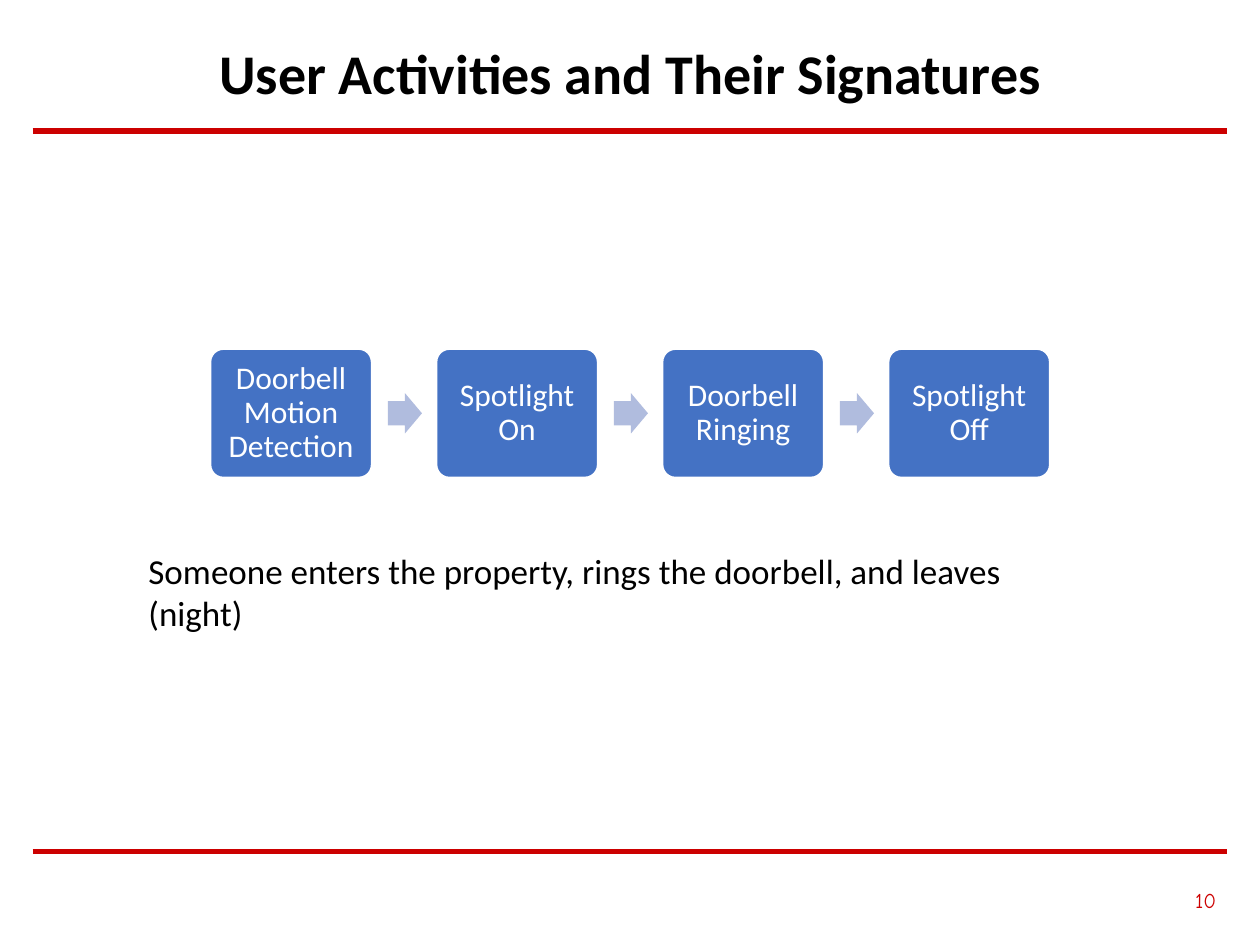
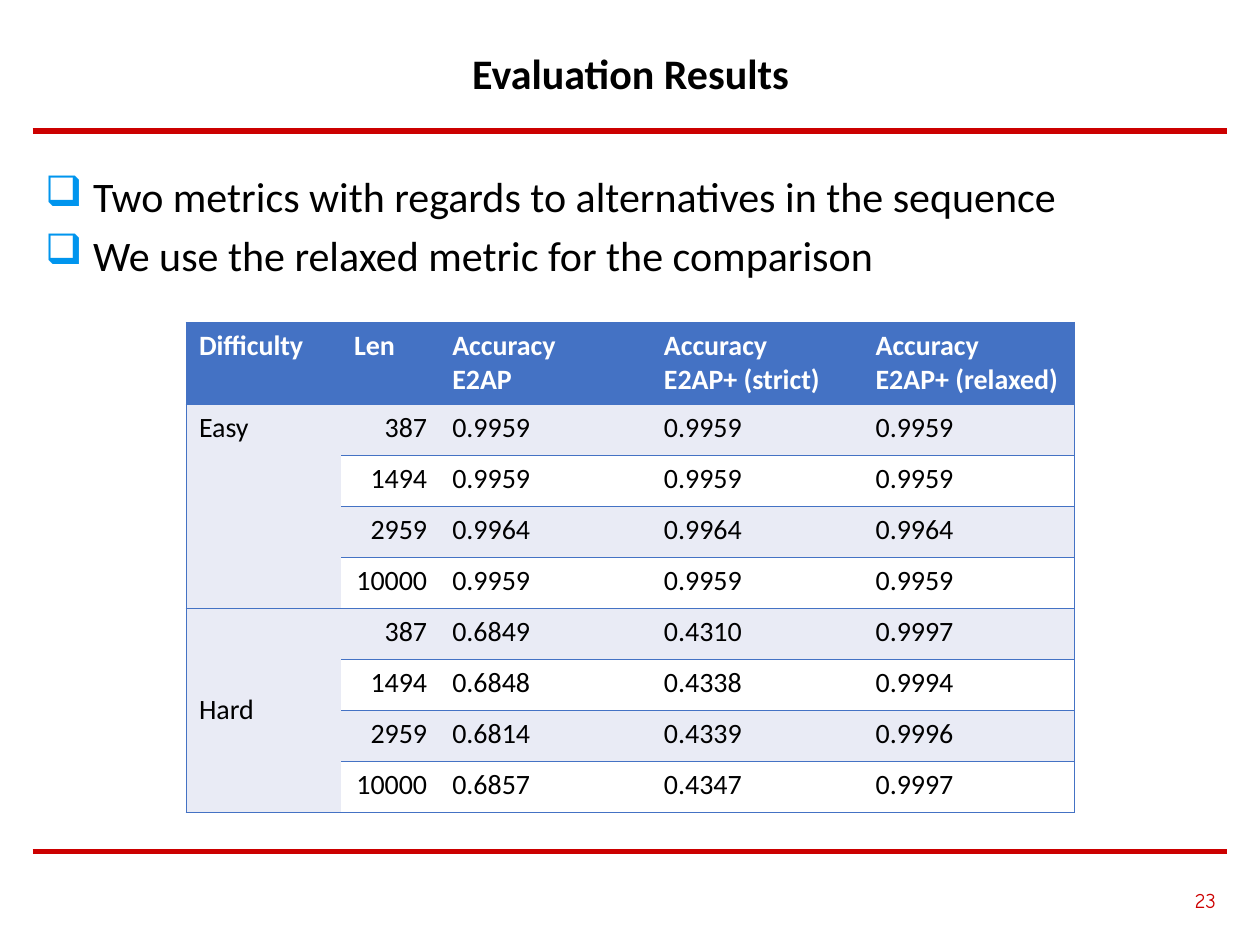
from lxml import etree
from pptx import Presentation
from pptx.dml.color import RGBColor
from pptx.enum.shapes import MSO_CONNECTOR, MSO_SHAPE
from pptx.enum.text import MSO_ANCHOR, PP_ALIGN
from pptx.oxml.ns import qn
from pptx.util import Inches, Pt

LEFT, MID, RIGHT = PP_ALIGN.LEFT, PP_ALIGN.CENTER, PP_ALIGN.RIGHT
TOP, CENTER = MSO_ANCHOR.TOP, MSO_ANCHOR.MIDDLE
LINE = MSO_CONNECTOR.STRAIGHT
ROUND, ARROW = MSO_SHAPE.ROUNDED_RECTANGLE, MSO_SHAPE.RIGHT_ARROW
COLORS = {
    "rule": "CC0000", "number": "CD0000", "blue": "4472C4", "arrow": "B0BCDE",
    "band": "E9EBF5", "white": "FFFFFF", "black": "000000", "bullet": "0095EE",
}
STEPS = ["Doorbell Motion Detection", "Spotlight On", "Doorbell Ringing", "Spotlight Off"]
POINTS = [
    "Two metrics with regards to alternatives in the sequence",
    "We use the relaxed metric for the comparison",
]
HEAD = ["Difficulty", "Len", "Accuracy\nE2AP", "Accuracy\nE2AP+ (strict)",
        "Accuracy\nE2AP+ (relaxed)"]
ROWS = [
    ["Easy", "387", "0.9959", "0.9959", "0.9959"],
    ["", "1494", "0.9959", "0.9959", "0.9959"],
    ["", "2959", "0.9964", "0.9964", "0.9964"],
    ["", "10000", "0.9959", "0.9959", "0.9959"],
    ["Hard", "387", "0.6849", "0.4310", "0.9997"],
    ["", "1494", "0.6848", "0.4338", "0.9994"],
    ["", "2959", "0.6814", "0.4339", "0.9996"],
    ["", "10000", "0.6857", "0.4347", "0.9997"],
]
GROUP = 4
WIDTHS = [1.23, 0.78, 1.68, 1.68, 1.68]


def color(name):
    """Return the named colour."""
    return RGBColor.from_string(COLORS[name])


def write(frame, *lines, size=16, font="Calibri", ink="black", bold=False,
          align=LEFT, anchor=TOP, spacing=1, before=0, bullet=None):
    """Fill a text frame with one formatted paragraph per line."""
    frame.word_wrap = True
    frame.vertical_anchor = anchor
    for i, line in enumerate(lines):
        par = frame.add_paragraph() if i else frame.paragraphs[0]
        par.text = line
        par.alignment = align
        par.line_spacing = spacing
        par.space_before = Pt(before)
        for run in par.runs:
            run.font.size = Pt(size)
            run.font.name = font
            run.font.bold = bold
            run.font.color.rgb = color(ink)
        if bullet:
            mark(par, bullet)


def mark(par, char):
    """Give a paragraph a coloured bullet with a hanging indent."""
    props = par._p.get_or_add_pPr()
    props.set("marL", str(Inches(0.38)))
    props.set("indent", str(-Inches(0.38)))
    tint = etree.SubElement(props, qn("a:buClr"))
    etree.SubElement(tint, qn("a:srgbClr"), val=COLORS["bullet"])
    etree.SubElement(props, qn("a:buChar"), char=char)


def label(slide, box, *lines, **style):
    """Add a text box at the given place."""
    frame = slide.shapes.add_textbox(*map(Inches, box)).text_frame
    write(frame, *lines, **style)


def rule(slide, y):
    """Draw a red line across the slide."""
    line = slide.shapes.add_connector(
        LINE, Inches(0.26), Inches(y), Inches(9.74), Inches(y))
    line.line.color.rgb = color("rule")
    line.line.width = Pt(3)
    etree.SubElement(line._element.spPr, qn("a:effectLst"))


def block(slide, kind, box, fill, *adjust):
    """Add a filled shape without a line or shadow."""
    shape = slide.shapes.add_shape(kind, *map(Inches, box))
    shape.shadow.inherit = False
    shape.fill.solid()
    shape.fill.fore_color.rgb = color(fill)
    shape.line.fill.background()
    for i, value in enumerate(adjust):
        shape.adjustments[i] = value
    return shape


def page(deck, title, size, number):
    """Add a slide with title, rules and page number."""
    slide = deck.slides.add_slide(deck.slide_layouts[6])
    rule(slide, 1.04)
    rule(slide, 6.76)
    label(slide, (0.26, 0.28, 9.49, 0.65), title, size=size, bold=True,
          align=MID, anchor=CENTER, spacing=0.9)
    label(slide, (6.8, 6.9, 2.95, 0.48), number, size=12, font="Comic Neue",
          ink="number", align=RIGHT, anchor=CENTER)
    return slide


def flow(slide, steps, left=1.67, pitch=1.794):
    """Draw steps in a row with arrows between them."""
    for i, step in enumerate(steps):
        x = left + i * pitch
        if i:
            block(slide, ARROW, (x - 0.385, 3.12, 0.27, 0.32), "arrow", 0.6, 0.5)
        box = block(slide, ROUND, (x, 2.77, 1.28, 1.02), "blue", 0.1)
        box.line.color.rgb = color("white")
        box.line.width = Pt(1)
        frame = box.text_frame
        frame.margin_left = frame.margin_right = Inches(0.07)
        frame.margin_top = frame.margin_bottom = Inches(0.07)
        write(frame, step, size=18, ink="white", align=MID, anchor=CENTER,
              spacing=0.9)


def border(cell, sides):
    """Draw the given cell sides in blue and clear the others."""
    props = cell._tc.get_or_add_tcPr()
    for i, side in enumerate("LRTB"):
        edge = etree.Element(qn("a:ln" + side), w=str(Pt(1)))
        if side in sides:
            fill = etree.SubElement(edge, qn("a:solidFill"))
            etree.SubElement(fill, qn("a:srgbClr"), val=COLORS["blue"])
        else:
            etree.SubElement(edge, qn("a:noFill"))
        props.insert(i, edge)


def grid(slide):
    """Add the accuracy table with merged difficulty cells."""
    data = [HEAD] + ROWS
    table = slide.shapes.add_table(
        len(data), len(HEAD), Inches(1.48), Inches(2.56),
        Inches(sum(WIDTHS)), Inches(3.89)).table
    for col, width in zip(table.columns, WIDTHS):
        col.width = Inches(width)
    for r, row in enumerate(data):
        table.rows[r].height = Inches(0.405 if r else 0.65)
        for c, text in enumerate(row):
            cell = table.cell(r, c)
            shade = "band" if r % 2 or c == 0 else "white"
            cell.fill.solid()
            cell.fill.fore_color.rgb = color(shade if r else "blue")
            border(cell, "TB" + {0: "L", len(HEAD) - 1: "R"}.get(c, ""))
            write(cell.text_frame, text, bold=r == 0,
                  ink="black" if r else "white",
                  align=RIGHT if r and c == 1 else LEFT)
            cell.vertical_anchor = CENTER if text == "Hard" else TOP
    for top in range(1, len(data), GROUP):
        table.cell(top, 0).merge(table.cell(top + GROUP - 1, 0))


def main():
    """Build the two slides."""
    deck = Presentation()
    deck.slide_width, deck.slide_height = Inches(10), Inches(7.5)
    slide = page(deck, "User Activities and Their Signatures", 32, "10")
    flow(slide, STEPS)
    label(slide, (1.08, 4.31, 7.77, 0.78),
          "Someone enters the property, rings the doorbell, and leaves (night)",
          size=20)
    slide = page(deck, "Evaluation Results", 24, "23")
    grid(slide)
    label(slide, (0.26, 1.35, 9.49, 2.9), *POINTS, size=24, spacing=0.9,
          before=7.5, bullet="❑")
    deck.save("out.pptx")


if __name__ == "__main__":
    main()
